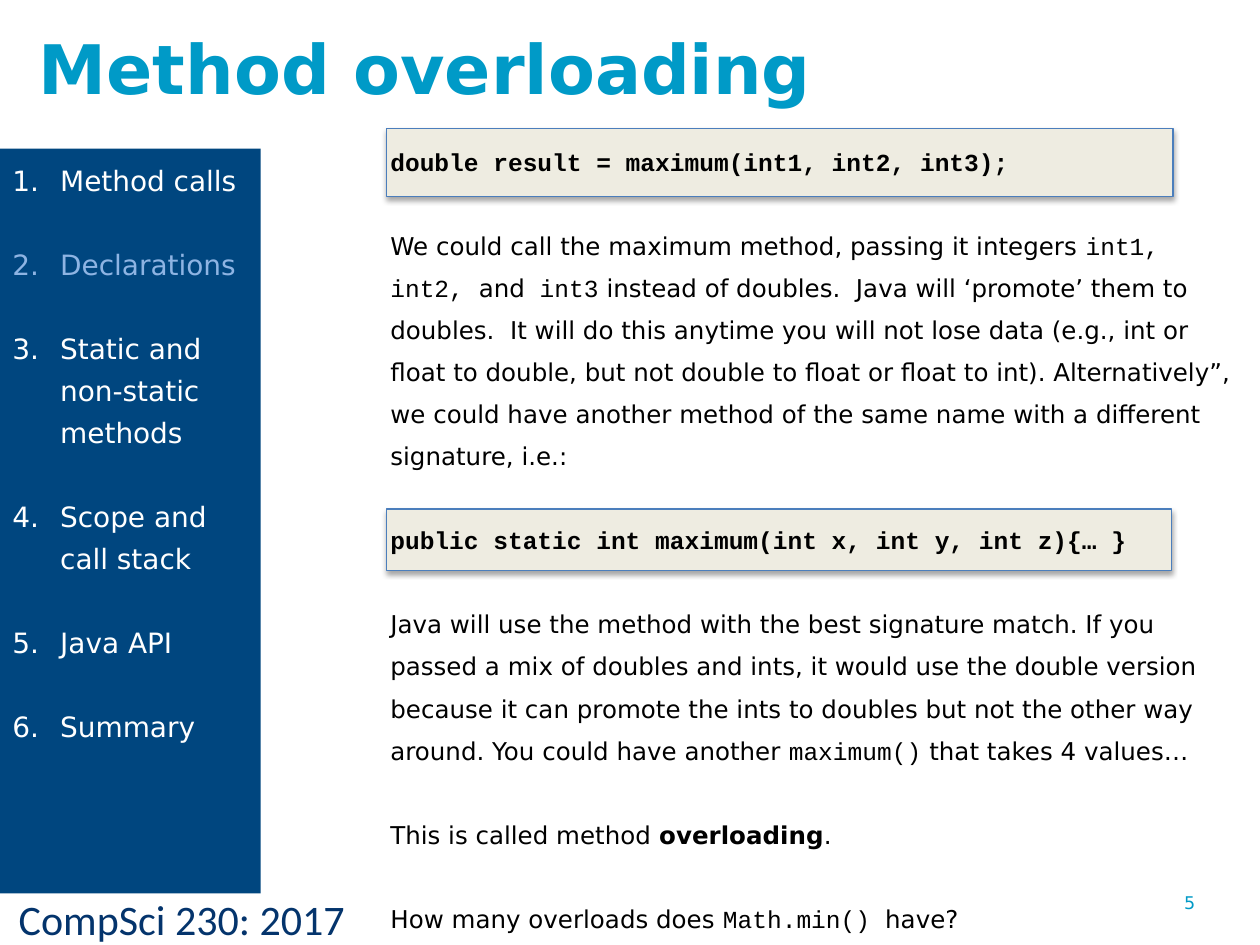
from lxml.etree import SubElement as Sub
from pptx import Presentation as Deck
from pptx.dml.color import RGBColor as Color
from pptx.enum.shapes import MSO_SHAPE as Kind
from pptx.enum.text import MSO_ANCHOR as Anchor
from pptx.oxml.ns import qn
from pptx.util import Inches, Pt

CELL = 0.1
COLS, ROWS = 100, 75
SANS, MONO = "DejaVu Sans", "Courier New"
HUES = {
    "title": "009AC7", "foot": "04346C", "side": "00467F", "white": "FFFFFF",
    "dim": "8EB4E3", "code": "EEECE1", "edge": "4B7EBC", "black": "000000",
}

CODE = [(10.2, 62.4, 5.4), (40.4, 62.3, 4.9)]

TOPICS = ["Method calls", "Declarations", "Static and non-static methods",
          "Scope and call stack", "Java API", "Summary"]
ACTIVE = "Declarations"

BODY = [
    [("double result = maximum(int1, int2, int3);", MONO, True)],
    [("We could call the maximum method, passing it integers ", SANS, False),
     ("int1, int2, ", MONO, False),
     ("and", SANS, False),
     (" int3", MONO, False),
     (" instead of doubles.  Java will ‘promote’ them to doubles.  It will do "
      "this anytime you will not lose data (e.g., int or float to double, but "
      "not double to float or float to int). Alternatively”, we could have "
      "another method of the same name with a different signature, i.e.:",
      SANS, False)],
    [("public static int maximum(int x, int y, int z){… }", MONO, True)],
    [("Java will use the method with the best signature match. If you passed "
      "a mix of doubles and ints, it would use the double version because it "
      "can promote the ints to doubles but not the other way around. You "
      "could have another ", SANS, False),
     ("maximum()", MONO, False),
     (" that takes 4 values…", SANS, False)],
    [("This is called method ", SANS, False),
     ("overloading", SANS, True),
     (".", SANS, False)],
    [("How many overloads does ", SANS, False),
     ("Math.min() ", MONO, False),
     ("have?", SANS, False)],
]


def hue(name):
    return Color.from_string(HUES[name])


def grid(*cells):
    return [Inches(n * CELL) for n in cells]


def add_run(para, text, size, tint, font=SANS, bold=False):
    run = para.add_run()
    run.text = text
    run.font.name = font
    run.font.size = Pt(size)
    run.font.bold = bold
    run.font.color.rgb = hue(tint)


def add_box(slide, cells, anchor=Anchor.TOP):
    frame = slide.shapes.add_textbox(*grid(*cells)).text_frame
    frame.word_wrap = True
    frame.vertical_anchor = anchor
    return frame


def add_label(slide, cells, text, size, tint, font=SANS, bold=False,
              anchor=Anchor.TOP):
    frame = add_box(slide, cells, anchor)
    add_run(frame.paragraphs[0], text, size, tint, font, bold)


def next_para(frame, first):
    para = frame.paragraphs[0] if first else frame.add_paragraph()
    para.line_spacing = Pt(24)
    para.space_before = Pt(0 if first else 24)
    return para


def add_code(slide, top, width, height):
    panel = slide.shapes.add_shape(
        Kind.RECTANGLE, *grid(30.7, top, width, height))
    panel.fill.solid()
    panel.fill.fore_color.rgb = hue("code")
    panel.line.color.rgb = hue("edge")
    panel.line.width = Pt(0.75)
    panel.shadow.inherit = False
    glow = panel._element.spPr.find(qn("a:effectLst"))
    shade = Sub(glow, qn("a:outerShdw"), blurRad=str(Pt(3.1)),
                dist=str(Pt(1.8)), dir="5400000", rotWithShape="0")
    tone = Sub(shade, qn("a:srgbClr"), val=HUES["black"])
    Sub(tone, qn("a:alpha"), val="35000")


def add_body(slide):
    frame = add_box(slide, (30, 10.2, 70, 61))
    frame.margin_right = Inches(0.18)
    for i, runs in enumerate(BODY):
        para = next_para(frame, i == 0)
        for text, font, bold in runs:
            add_run(para, text, 14, "black", font, bold)


def add_side(slide):
    box = slide.shapes.add_textbox(*grid(0, 11.8, 20.7, 59.1))
    box.fill.solid()
    box.fill.fore_color.rgb = hue("side")
    frame = box.text_frame
    frame.word_wrap = True
    for i, topic in enumerate(TOPICS):
        para = next_para(frame, i == 0)
        props = para._p.get_or_add_pPr()
        props.set("marL", str(Inches(0.38)))
        props.set("indent", str(-Inches(0.38)))
        Sub(props, qn("a:buFont"), typeface="+mj-lt")
        Sub(props, qn("a:buAutoNum"), type="arabicPeriod")
        add_run(para, topic, 16, "dim" if topic == ACTIVE else "white")


def main():
    deck = Deck()
    deck.slide_width, deck.slide_height = grid(COLS, ROWS)
    slide = deck.slides.add_slide(deck.slide_layouts[6])
    add_label(slide, (0.5, 70.4, 40.5, 5), "CompSci 230: 2017", 24, "foot",
              "Calibri")
    for panel in CODE:
        add_code(slide, *panel)
    add_label(slide, (93, 70.3, 7, 5.2), "5", 10, "title")
    add_body(slide)
    add_label(slide, (2.1, 1.4, 71.3, 7.8), "Method overloading", 39, "title",
              bold=True, anchor=Anchor.MIDDLE)
    add_side(slide)
    deck.save("out.pptx")


if __name__ == "__main__":
    main()
